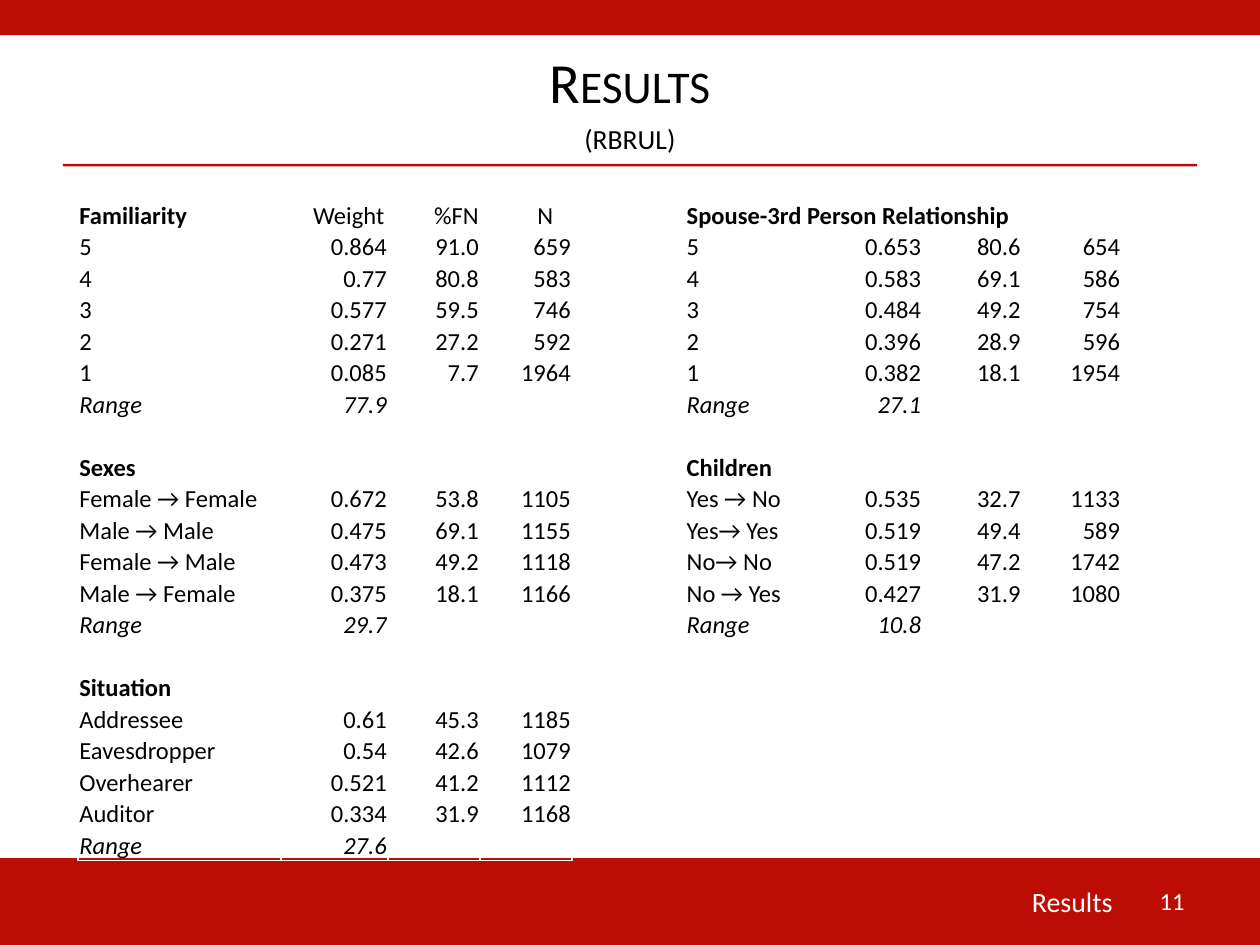
from dataclasses import dataclass

from lxml import etree
from pptx import Presentation
from pptx.dml.color import RGBColor
from pptx.enum.shapes import MSO_SHAPE
from pptx.enum.text import MSO_ANCHOR, PP_ALIGN
from pptx.oxml.ns import qn
from pptx.util import Inches, Pt

RECTANGLE = MSO_SHAPE.RECTANGLE
MIDDLE, BOTTOM = MSO_ANCHOR.MIDDLE, MSO_ANCHOR.BOTTOM
LEFT, CENTER, RIGHT = PP_ALIGN.LEFT, PP_ALIGN.CENTER, PP_ALIGN.RIGHT
GRID_COLUMNS, GRID_ROWS = 100, 75
CELL_INSET = 0.1
HEADING_INSETS = {"Weight": 0.3, "N": 1.5}


@dataclass(frozen=True)
class Theme:
    """Colours, font and type sizes of the slide."""
    red: RGBColor = RGBColor(0xBC, 0x0D, 0x05)
    black: RGBColor = RGBColor(0, 0, 0)
    white: RGBColor = RGBColor(255, 255, 255)
    font: str = "Calibri"
    title: float = 32.4
    subtitle: float = 19.8
    section: float = 16
    body: float = 14


@dataclass(frozen=True)
class Box:
    """Area measured in grid columns and rows."""
    left: float
    top: float
    width: float
    height: float

    def inner(self, left, top, width, height):
        """Return an area placed relative to this one."""
        return Box(self.left + left, self.top + top, width, height)

    def emu(self):
        """Return left, top, width and height as lengths."""
        return [grid(value) for value in (self.left, self.top, self.width, self.height)]


THEME = Theme()

LEFT_GROUPS = [
    (["Familiarity", "Weight", "%FN", "N"], [
        ["5", "0.864", "91.0", "659"],
        ["4", "0.77", "80.8", "583"],
        ["3", "0.577", "59.5", "746"],
        ["2", "0.271", "27.2", "592"],
        ["1", "0.085", "7.7", "1964"]], "77.9"),
    (["Sexes"], [
        ["Female → Female", "0.672", "53.8", "1105"],
        ["Male → Male", "0.475", "69.1", "1155"],
        ["Female → Male", "0.473", "49.2", "1118"],
        ["Male → Female", "0.375", "18.1", "1166"]], "29.7"),
    (["Situation"], [
        ["Addressee", "0.61", "45.3", "1185"],
        ["Eavesdropper", "0.54", "42.6", "1079"],
        ["Overhearer", "0.521", "41.2", "1112"],
        ["Auditor", "0.334", "31.9", "1168"]], "27.6"),
]

RIGHT_GROUPS = [
    (["Spouse-3rd Person Relationship"], [
        ["5", "0.653", "80.6", "654"],
        ["4", "0.583", "69.1", "586"],
        ["3", "0.484", "49.2", "754"],
        ["2", "0.396", "28.9", "596"],
        ["1", "0.382", "18.1", "1954"]], "27.1"),
    (["Children"], [
        ["Yes → No", "0.535", "32.7", "1133"],
        ["Yes→ Yes", "0.519", "49.4", "589"],
        ["No→ No", "0.519", "47.2", "1742"],
        ["No → Yes", "0.427", "31.9", "1080"]], "10.8"),
]


def grid(units):
    """Convert grid units, a tenth of an inch each, to a length."""
    return Inches(units / 10)


def add_bar(slide, box):
    """Add a plain red rectangle."""
    shape = slide.shapes.add_shape(RECTANGLE, *box.emu())
    shape.shadow.inherit = False
    shape.fill.solid()
    shape.fill.fore_color.rgb = THEME.red
    shape.line.fill.background()


def add_run(paragraph, text, size, color, bold=False, italic=False):
    """Append a styled run and return it."""
    run = paragraph.add_run()
    run.text = text
    run.font.name = THEME.font
    run.font.size = Pt(size)
    run.font.color.rgb = color
    run.font.bold = bold
    run.font.italic = italic
    return run


def add_text_box(slide, box, alignment):
    """Add a wrapping, vertically centred box and return its paragraph."""
    frame = slide.shapes.add_textbox(*box.emu()).text_frame
    frame.word_wrap = True
    frame.vertical_anchor = MIDDLE
    frame.paragraphs[0].alignment = alignment
    return frame.paragraphs[0]


def add_header(slide, box):
    """Place the top bar, the two-line title and its rule."""
    add_bar(slide, box.inner(0, 0, box.width, 2.8))
    add_bar(slide, box.inner(5, 13, box.width - 10, 0.2))
    paragraph = add_text_box(slide, box.inner(5, 3.1, box.width - 10, 9.9), CENTER)
    title = add_run(paragraph, "Results", THEME.title, THEME.black)
    paragraph.add_line_break()
    subtitle = add_run(paragraph, "(rbrul)", THEME.subtitle, THEME.black)
    for run in (title, subtitle):
        run.font._element.set("cap", "small")


def add_footer(slide, box):
    """Place the bottom bar, the section name and the slide number."""
    add_bar(slide, box)
    section = add_text_box(slide, box.inner(57.6, 1.4, 31.7, 4), RIGHT)
    add_run(section, "Results", THEME.section, THEME.white)
    number = add_text_box(slide, box.inner(89.7, 1.4, 5.3, 4), RIGHT)
    add_run(number, "11", THEME.body, THEME.white)


def table_rows(groups):
    """Yield each row's cells, with bold and italic flags, and gaps between groups."""
    for index, (heading, rows, value_range) in enumerate(groups):
        if index:
            yield [], False, False
        yield heading, True, False
        for row in rows:
            yield row, False, False
        yield ["Range", value_range], False, True


def fill_cell(cell, text, alignment, bold, italic):
    """Clear the cell's fill and write its text."""
    cell.fill.background()
    cell.vertical_anchor = BOTTOM
    cell.margin_left = cell.margin_top = grid(CELL_INSET)
    cell.margin_right = grid(HEADING_INSETS.get(text, CELL_INSET))
    cell.margin_bottom = 0
    paragraph = cell.text_frame.paragraphs[0]
    paragraph.alignment = alignment
    if text:
        add_run(paragraph, text, THEME.body, THEME.black, bold, italic)
    else:
        end = etree.SubElement(paragraph._p, qn("a:endParaRPr"))
        end.set("sz", str(THEME.body * 100))


def add_results_table(slide, box, column_widths, groups, heading_span=1):
    """Place grouped results in equal rows, the first heading spanning columns."""
    rows = list(table_rows(groups))
    frame = slide.shapes.add_table(len(rows), len(column_widths), *box.emu())
    table = frame.table
    table.first_row = table.horz_banding = False
    for column, width in zip(table.columns, column_widths):
        column.width = grid(width)
    for row_index, (texts, bold, italic) in enumerate(rows):
        table.rows[row_index].height = grid(box.height / len(rows))
        for column_index in range(len(column_widths)):
            text = texts[column_index] if column_index < len(texts) else ""
            fill_cell(table.cell(row_index, column_index), text,
                      RIGHT if column_index else LEFT,
                      bold and column_index == 0, italic)
    if heading_span > 1:
        table.cell(0, 0).merge(table.cell(0, heading_span - 1))


def main():
    """Build the results slide and save it."""
    presentation = Presentation()
    presentation.slide_width = grid(GRID_COLUMNS)
    presentation.slide_height = grid(GRID_ROWS)
    slide = presentation.slides.add_slide(presentation.slide_layouts[6])
    add_header(slide, Box(0, 0, GRID_COLUMNS, 13.2))
    add_footer(slide, Box(0, 68.1, GRID_COLUMNS, 6.9))
    add_results_table(slide, Box(6.2, 15.8, 39.2, 52.5), [16.1, 8.5, 7.3, 7.3], LEFT_GROUPS)
    add_results_table(slide, Box(54.4, 15.8, 34.6, 35), [11.9, 6.9, 7.9, 7.9], RIGHT_GROUPS, 3)
    presentation.save("out.pptx")


if __name__ == "__main__":
    main()
